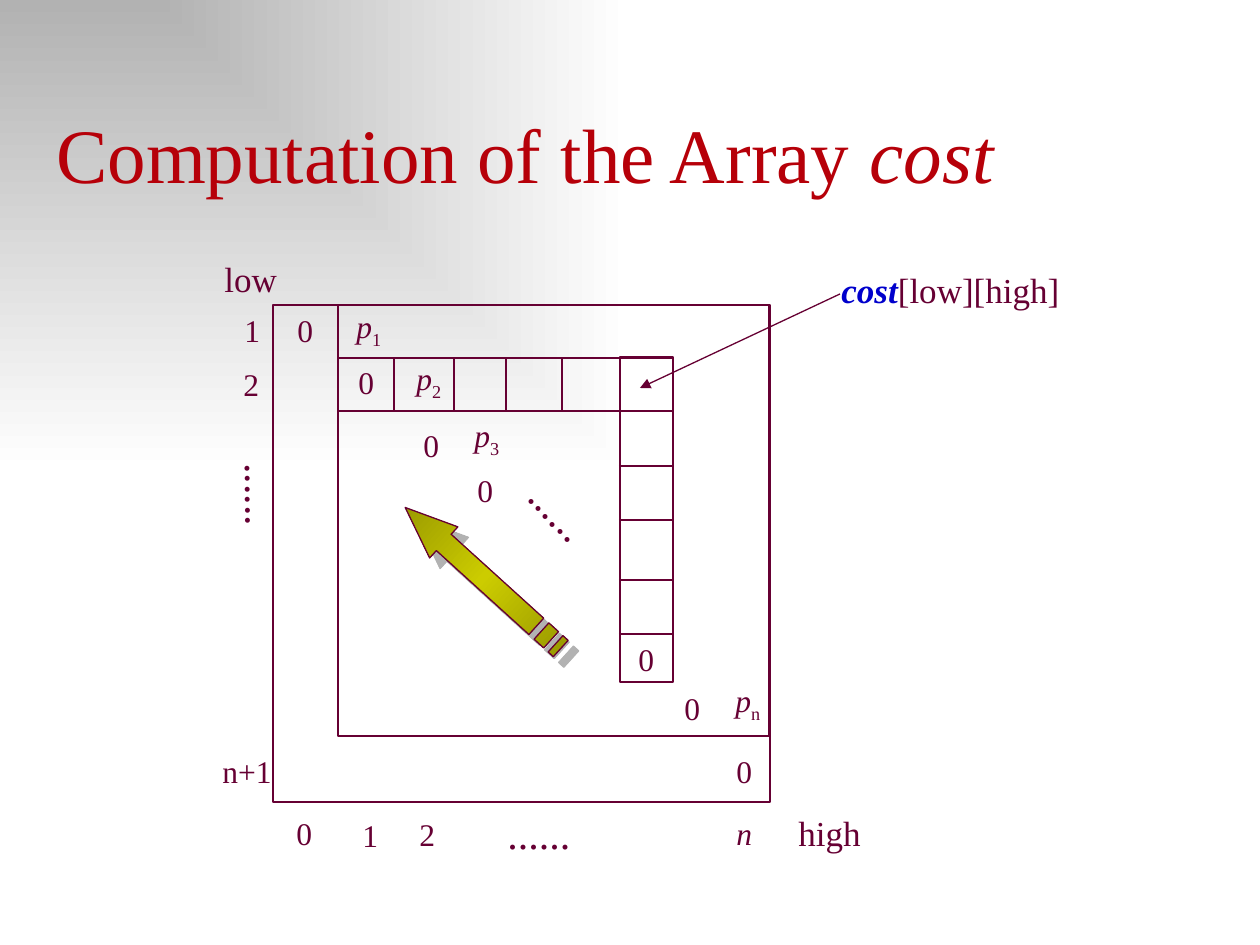
from dataclasses import dataclass

from lxml import etree
from pptx import Presentation
from pptx import util as u
from pptx.dml.color import RGBColor
from pptx.enum import shapes, text
from pptx.oxml import ns, parse_xml

PX = 914400 / 126


@dataclass(frozen=True)
class Theme:
    """Colours, typeface and type sizes of the slide."""
    font: str = "Times New Roman"
    title: str = "B60009"
    ink: str = "660033"
    accent: str = "0000CC"
    grey: str = "B2B2B2"
    white: str = "FFFFFF"
    olive: str = "929200"
    yellow: str = "CCCC00"
    title_size: int = 44
    dots_size: int = 24
    axis_size: int = 20
    cell_size: int = 18
    line: float = 0.75


T = Theme()


def emu(*lengths):
    """Turn px lengths into EMU."""
    return [u.Emu(round(n * PX)) for n in lengths]


def set_gradient(element, stops, shade):
    """Replace the stops and the shade of the first gradient in an element."""
    grad = element.find(".//" + ns.qn("a:gradFill"))
    for child in list(grad):
        grad.remove(child)
    gs = "".join(f'<a:gs pos="{pos * 1000}"><a:srgbClr val="{c}"/></a:gs>' for pos, c in stops)
    grad.append(parse_xml(f'<a:gsLst {ns.nsdecls("a")}>{gs}</a:gsLst>'))
    grad.append(parse_xml(shade))


def add_text(s, box, runs, size=T.cell_size, color=T.ink, rotation=0):
    """Add a text box; each run is a string and a style of b, i, sub or color."""
    sp = s.shapes.add_textbox(*emu(*box))
    sp.rotation = rotation
    tf = sp.text_frame
    tf.word_wrap = True
    p = tf.paragraphs[0]
    p.font.name, p.font.size = T.font, u.Pt(size)
    p.font.color.rgb = RGBColor.from_string(color)
    for words, style in runs:
        r = p.add_run()
        r.text = words
        if "b" in style:
            r.font.bold = True
        if "i" in style:
            r.font.italic = True
        if "color" in style:
            r.font.color.rgb = RGBColor.from_string(T.accent)
        if "sub" in style:
            r.font._element.set("baseline", "-25000")
    return tf


def add_label(s, x, y, words, style=(), w=42, h=50):
    """Add a cell-sized label."""
    add_text(s, (x, y, w, h), [(words, style)])


def add_dots(s, x, y, rotation=0):
    """Add an ellipsis, turned by an angle."""
    add_text(s, (x, y, 199, 63), [("......", ())], T.dots_size, rotation=rotation)


def add_line(s, x1, y1, x2, y2):
    """Add a thin line without shadow."""
    sp = s.shapes.add_connector(shapes.MSO_CONNECTOR.STRAIGHT, *emu(x1, y1, x2, y2))
    sp.line.color.rgb = RGBColor.from_string(T.ink)
    sp.line.width = u.Pt(T.line)
    etree.SubElement(sp._element.spPr, ns.qn("a:effectLst"))
    return sp


def background(s):
    """Shade the slide from its top left corner."""
    s.background.fill.gradient()
    set_gradient(s._element, [(0, T.grey), (100, T.white)],
                 f'<a:path {ns.nsdecls("a")} path="rect">'
                 '<a:fillToRect r="100000" b="100000"/></a:path>')


def title(s, box):
    """Place the title at the bottom of its box."""
    tf = add_text(s, box, [("Computation of the Array ", ()), ("cost", ("i",))],
                  T.title_size, T.title)
    tf.vertical_anchor = text.MSO_ANCHOR.BOTTOM


def matrix(s, x, y):
    """Draw the nested frames, their cells and the diagonal entries."""
    frames = [(0, 0, 497, 497), (65, 0, 431, 431), (347, 52, 53, 325), (65, 53, 335, 53)]
    for dx, dy, w, h in frames:
        sp = s.shapes.add_shape(shapes.MSO_SHAPE.RECTANGLE, *emu(x + dx, y + dy, w, h))
        sp.shadow.inherit = False
        sp.fill.background()
        sp.line.color.rgb = RGBColor.from_string(T.ink)
        sp.line.width = u.Pt(T.line)
    for dx in (121, 181, 233, 289):
        add_line(s, x + dx, y + 53, x + dx, y + 105)
    for dy in (161, 215, 275, 329):
        add_line(s, x + 346, y + dy, x + 399, y + dy)
    zeros = [(12, 0), (73, 52), (138, 115), (192, 160), (353, 329), (399, 378), (451, 441)]
    for dx, dy in zeros:
        add_label(s, x + dx, y + dy, "0")
    weights = [("1", 71, -4), ("2", 131, 48), ("3", 189, 105), ("n", 450, 370)]
    for index, dx, dy in weights:
        add_text(s, (x + dx, y + dy, 63, 50), [("p", ("i",)), (index, ("sub",))])
    add_dots(s, x + 226, y + 214, 46.1)


def row_axis(s, x, y):
    """Label the rows down the left side."""
    add_text(s, (x + 49, y, 95, 54), [("low", ())], T.axis_size)
    add_label(s, x + 69, y + 54, "1")
    add_label(s, x + 68, y + 108, "2")
    add_dots(s, x, y + 268, 89.6)
    add_label(s, x + 47, y + 495, "n+1", w=93)


def column_axis(s, x, y):
    """Label the columns along the bottom."""
    add_label(s, x, y + 7, "0")
    add_label(s, x + 66, y + 9, "1")
    add_label(s, x + 123, y + 8, "2")
    add_dots(s, x + 211, y)
    add_label(s, x + 440, y + 7, "n", ("i",))
    add_text(s, (x + 502, y + 4, 116, 54), [("high", ())], T.axis_size)


def callout(s, x, y):
    """Name the entry that the pointer leads to."""
    add_text(s, (x, y, 305, 54), [("cost", ("b", "i", "color")), ("[low][high]", ())],
             T.axis_size)
    sp = add_line(s, x + 11, y + 32, x - 189, y + 126)
    etree.SubElement(sp.line._get_or_add_ln(), ns.qn("a:tailEnd"), type="triangle")


def direction_arrow(s, x, y, w, h):
    """Draw the striped arrow that shows the order of computation."""
    top, bottom, neck = h / 4, h * 3 / 4, w * 3 / 4
    unit = w / 32
    head = [(unit * 5, top), (neck, top), (neck, 0), (w, h / 2),
            (neck, h), (neck, bottom), (unit * 5, bottom)]
    stripes = [[(a * unit, top), (b * unit, top), (b * unit, bottom), (a * unit, bottom)]
               for a, b in ((2, 4), (0, 1))]
    fb = s.shapes.build_freeform(*head[0], scale=PX)
    fb.add_line_segments(head[1:], close=True)
    for stripe in stripes:
        fb.move_to(*stripe[0])
        fb.add_line_segments(stripe[1:], close=True)
    sp = fb.convert_to_shape(*emu(x, y))
    sp.rotation = 222.2
    sp.fill.gradient()
    set_gradient(sp._element, [(0, T.olive), (50, T.yellow), (100, T.olive)],
                 f'<a:lin {ns.nsdecls("a")} ang="0" scaled="1"/>')
    sp.line.color.rgb = RGBColor.from_string(T.ink)
    sp.line.width = u.Pt(T.line)
    sp.shadow.inherit = False
    effects = sp._element.spPr.find(ns.qn("a:effectLst"))
    shadow = etree.SubElement(effects, ns.qn("a:outerShdw"), dist=str(u.Pt(8.5)),
                              dir="2700000", algn="ctr", rotWithShape="0")
    etree.SubElement(shadow, ns.qn("a:srgbClr"), val=T.grey)


def main():
    """Build and save the slide."""
    prs = Presentation()
    prs.slide_width, prs.slide_height = emu(1260, 945)
    s = prs.slides.add_slide(prs.slide_layouts[6])
    background(s)
    title(s, (44, 100, 1191, 105))
    matrix(s, 273, 305)
    row_axis(s, 163, 251)
    column_axis(s, 284, 801)
    callout(s, 829, 262)
    direction_arrow(s, 378, 557, 210, 42)
    prs.save("out.pptx")


if __name__ == "__main__":
    main()
